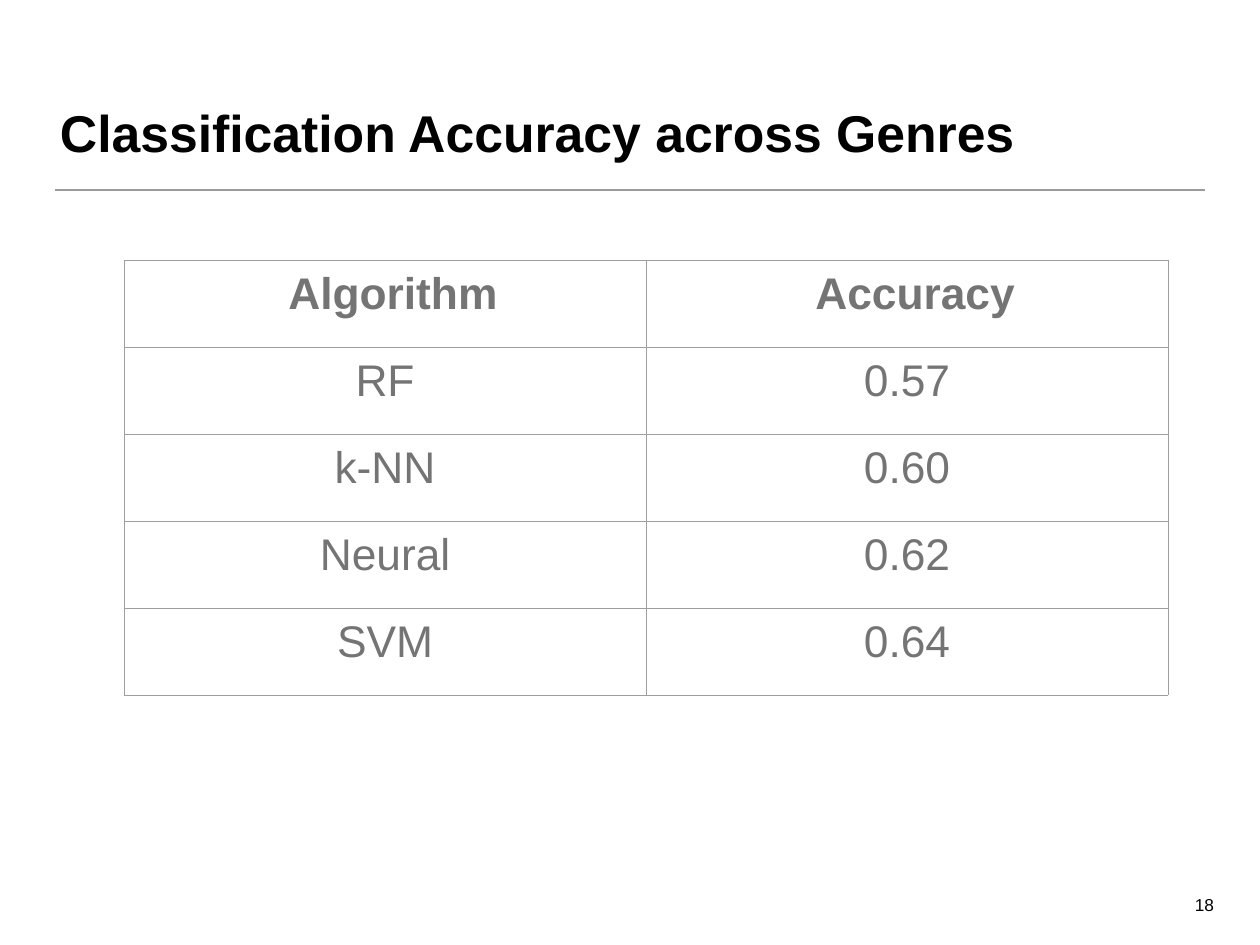
import pptx
import pptx.dml.color
import pptx.enum.shapes
import pptx.enum.text
import pptx.oxml.ns
import pptx.util
from lxml import etree

EMU_PER_PX = 10320
FONT = "Arial"
COLORS = {"page": "FFFFFF", "text": "000000", "cell": "747474",
          "rule": "9A9A9A", "border": "9E9E9E"}
ALIGN = pptx.enum.text.PP_ALIGN
ANCHOR = pptx.enum.text.MSO_ANCHOR

ACCURACY_ROWS = [
    ("Algorithm", "Accuracy"),
    ("RF", "0.57"),
    ("k-NN", "0.60"),
    ("Neural", "0.62"),
    ("SVM", "0.64"),
]


def px(length):
    return pptx.util.Emu(length * EMU_PER_PX)


def rgb(name):
    return pptx.dml.color.RGBColor.from_string(COLORS[name])


def add_xml(parent, tag, **attributes):
    element = etree.SubElement(parent, pptx.oxml.ns.qn(tag))
    for key, value in attributes.items():
        element.set(key, str(value))
    return element


def write_text(para, text, size, color="text", bold=False, align=ALIGN.LEFT,
               margin=0, indent=0):
    para.alignment = align
    if margin or indent:
        properties = para._p.get_or_add_pPr()
        properties.set("marL", str(px(margin)))
        properties.set("indent", str(px(indent)))
    span = para.add_run()
    span.text = text
    span.font.name = FONT
    span.font.size = pptx.util.Pt(size)
    span.font.bold = bold
    span.font.color.rgb = rgb(color)


def set_margins(holder, margin):
    holder.margin_left = holder.margin_right = px(margin)
    holder.margin_top = holder.margin_bottom = px(margin)


def add_text(page, text, left, top, width, height, wrap=True, **text_format):
    box = page.shapes.add_textbox(px(left), px(top), px(width), px(height))
    frame = box.text_frame
    frame.word_wrap = wrap
    frame.vertical_anchor = ANCHOR.BOTTOM
    set_margins(frame, 5)
    write_text(frame.paragraphs[0], text, **text_format)


def add_rule(page, left, right, y):
    rule = page.shapes.add_connector(
        pptx.enum.shapes.MSO_CONNECTOR.STRAIGHT, px(left), px(y), px(right), px(y))
    rule.line.color.rgb = rgb("rule")
    rule.line.width = pptx.util.Pt(1)
    add_xml(rule._element.spPr, "a:effectLst")


def format_cell(cell):
    set_margins(cell, 9)
    cell.vertical_anchor = ANCHOR.TOP
    properties = cell._tc.get_or_add_tcPr()
    for side in ("a:lnL", "a:lnR", "a:lnT", "a:lnB"):
        border = add_xml(properties, side, w=pptx.util.Pt(0.75))
        fill = add_xml(border, "a:solidFill")
        add_xml(fill, "a:srgbClr", val=COLORS["border"])
    cell.fill.background()


def add_table(page, rows, left, top, column_width, row_height):
    columns = len(rows[0])
    table = page.shapes.add_table(
        len(rows), columns, px(left), px(top),
        px(column_width * columns), px(row_height * len(rows))).table
    table.horz_banding = False
    for row_index, row in enumerate(rows):
        header = row_index == 0
        header_format = {"bold": True, "margin": 44, "indent": -28} if header else {}
        for column_index, text in enumerate(row):
            cell = table.cell(row_index, column_index)
            format_cell(cell)
            write_text(cell.text_frame.paragraphs[0], text, size=36, color="cell",
                       align=ALIGN.CENTER, **header_format)


def main():
    deck = pptx.Presentation()
    deck.slide_width, deck.slide_height = px(1260), px(945)
    page = deck.slides.add_slide(deck.slide_layouts[6])
    page.background.fill.solid()
    page.background.fill.fore_color.rgb = rgb("page")

    # Heading and the rule below it
    add_rule(page, 55, 1205, 190)
    add_text(page, "Classification Accuracy across Genres", 55, 32, 1149, 136,
             size=42, bold=True)

    # Accuracy of each algorithm
    add_table(page, ACCURACY_ROWS, 124, 260, column_width=522, row_height=87)

    # Page number
    add_text(page, "18", 1189, 891, 30, 29, wrap=False, size=14, align=ALIGN.RIGHT)

    deck.save("out.pptx")


if __name__ == "__main__":
    main()
